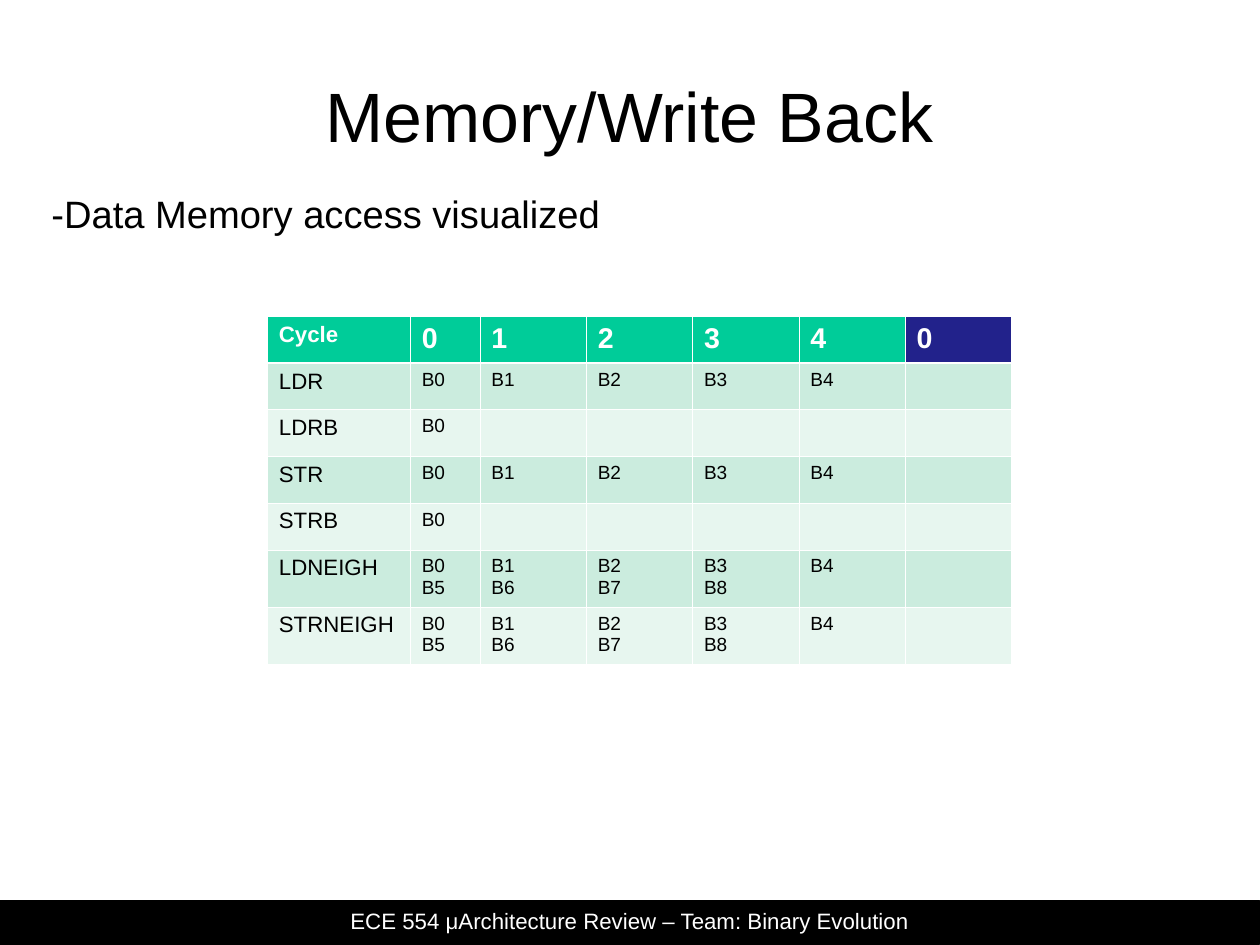
from dataclasses import dataclass

from lxml import etree
from pptx import Presentation
from pptx.dml.color import RGBColor
from pptx.enum.shapes import MSO_SHAPE
from pptx.enum.text import MSO_ANCHOR, MSO_AUTO_SIZE, PP_ALIGN
from pptx.oxml.ns import qn
from pptx.util import Inches, Pt

RECTANGLE = MSO_SHAPE.RECTANGLE
TOP, MIDDLE = MSO_ANCHOR.TOP, MSO_ANCHOR.MIDDLE
LEFT, CENTER = PP_ALIGN.LEFT, PP_ALIGN.CENTER
NO_AUTOFIT = MSO_AUTO_SIZE.NONE


@dataclass(frozen=True)
class Theme:
    font: str = "Arial"
    black: str = "000000"
    white: str = "FFFFFF"
    header: str = "00CC99"
    last_header: str = "22228B"
    bands: tuple = ("CBECDE", "E7F6EF")
    title_size: float = 44
    body_size: float = 24
    cycle_size: float = 18
    label_size: float = 14
    byte_size: float = 12
    thin_line: float = 0.45
    header_line: float = 1.47
    bar_line: float = 0.75
    line_spacing: float = 0.93


THEME = Theme()

# The slide measures 28 by 21 cm
CM_PER_INCH = 2.54
SLIDE_WIDTH = Inches(28 / CM_PER_INCH)
SLIDE_HEIGHT = Inches(21 / CM_PER_INCH)

COLUMN_WIDTHS = [1.25, 0.61] + [0.93] * 5
ROW_HEIGHTS = [0.41, 0.4, 0.41, 0.4, 0.41, 0.5, 0.5]
WORD = ["B0", "B1", "B2", "B3", "B4", ""]
BYTE = ["B0", "", "", "", "", ""]
NEIGHBOR = ["B0\nB5", "B1\nB6", "B2\nB7", "B3\nB8", "B4", ""]
ACCESS_ROWS = [
    ["Cycle", "0", "1", "2", "3", "4", "0"],
    ["LDR", *WORD],
    ["LDRB", *BYTE],
    ["STR", *WORD],
    ["STRB", *BYTE],
    ["LDNEIGH", *NEIGHBOR],
    ["STRNEIGH", *NEIGHBOR],
]


def rgb(color):
    return RGBColor.from_string(color)


def format_runs(tf, size, color, bold=False):
    for p in tf.paragraphs:
        for r in p.runs:
            r.font.name = THEME.font
            r.font.size = Pt(size)
            r.font.bold = bold
            r.font.color.rgb = rgb(color)


def fill_text(sp, text, box, size, color, align, anchor, insets):
    """Place a text shape and set its single line of text."""
    sp.left, sp.top, sp.width, sp.height = map(Inches, box)
    tf = sp.text_frame
    tf.word_wrap = True
    tf.auto_size = NO_AUTOFIT
    tf.vertical_anchor = anchor
    tf.margin_left, tf.margin_top, tf.margin_right, tf.margin_bottom = map(Inches, insets)
    tf.text = text
    p = tf.paragraphs[0]
    p.alignment = align
    p.line_spacing = THEME.line_spacing
    p.space_before = Pt(0)
    format_runs(tf, size, color)


def remove_bullet(p):
    pPr = p._p.get_or_add_pPr()
    pPr.set("marL", "0")
    pPr.set("indent", "0")
    etree.SubElement(pPr, qn("a:buNone"))


def add_footer(s):
    bar = s.shapes.add_shape(RECTANGLE, Inches(0), Inches(7.88), SLIDE_WIDTH, Inches(0.38))
    bar.shadow.inherit = False
    bar.fill.solid()
    bar.fill.fore_color.rgb = rgb(THEME.black)
    bar.line.color.rgb = rgb(THEME.black)
    bar.line.width = Pt(THEME.bar_line)
    box = (0, 7.91, 11.02, 0.38)
    caption = s.shapes.add_textbox(*map(Inches, box))
    fill_text(caption, "ECE 554 μArchitecture Review – Team: Binary Evolution", box,
              THEME.label_size, THEME.white, CENTER, TOP, (0.1, 0.05, 0.1, 0.05))


def set_borders(cell, top, bottom):
    """Draw white borders; the side borders are always thin."""
    tcPr = cell._tc.get_or_add_tcPr()
    widths = {"a:lnL": THEME.thin_line, "a:lnR": THEME.thin_line,
              "a:lnT": top, "a:lnB": bottom}
    for i, (tag, width) in enumerate(widths.items()):
        ln = etree.Element(qn(tag), w=str(Pt(width)))
        fill = etree.SubElement(ln, qn("a:solidFill"))
        etree.SubElement(fill, qn("a:srgbClr"), val=THEME.white)
        tcPr.insert(i, ln)


def format_cell(cell, row, col):
    is_header = row == 0
    if is_header:
        fill = THEME.last_header if col == len(COLUMN_WIDTHS) - 1 else THEME.header
    else:
        fill = THEME.bands[(row - 1) % 2]
    cell.fill.solid()
    cell.fill.fore_color.rgb = rgb(fill)

    value_size = THEME.cycle_size if is_header else THEME.byte_size
    size = THEME.label_size if col == 0 else value_size
    format_runs(cell.text_frame, size, THEME.white if is_header else THEME.black, is_header)
    set_borders(cell,
                top=THEME.header_line if row == 1 else THEME.thin_line,
                bottom=THEME.header_line if is_header else THEME.thin_line)


def add_access_table(s):
    frame = s.shapes.add_table(len(ROW_HEIGHTS), len(COLUMN_WIDTHS), Inches(2.34), Inches(2.77),
                               Inches(sum(COLUMN_WIDTHS)), Inches(sum(ROW_HEIGHTS)))
    table = frame.table
    for column, width in zip(table.columns, COLUMN_WIDTHS):
        column.width = Inches(width)
    for row, height in zip(table.rows, ROW_HEIGHTS):
        row.height = Inches(height)
    for i, values in enumerate(ACCESS_ROWS):
        for j, value in enumerate(values):
            cell = table.cell(i, j)
            cell.text_frame.text = value
            format_cell(cell, i, j)


def main():
    prs = Presentation()
    prs.slide_width, prs.slide_height = SLIDE_WIDTH, SLIDE_HEIGHT
    s = prs.slides.add_slide(prs.slide_layouts[1])
    s.background.fill.solid()
    s.background.fill.fore_color.rgb = rgb(THEME.white)

    # Title and body
    fill_text(s.shapes.title, "Memory/Write Back", (0.55, 0.38, 9.92, 1.28),
              THEME.title_size, THEME.black, CENTER, MIDDLE, (0, 0.04, 0, 0))
    body = s.placeholders[1]
    fill_text(body, "-Data Memory access visualized", (0.35, 1.63, 10.17, 5.81),
              THEME.body_size, THEME.black, LEFT, TOP, (0.1, 0.07, 0.1, 0.05))
    remove_bullet(body.text_frame.paragraphs[0])

    # Memory access by cycle
    add_access_table(s)

    # Footer bar
    add_footer(s)

    prs.save("out.pptx")


if __name__ == "__main__":
    main()
